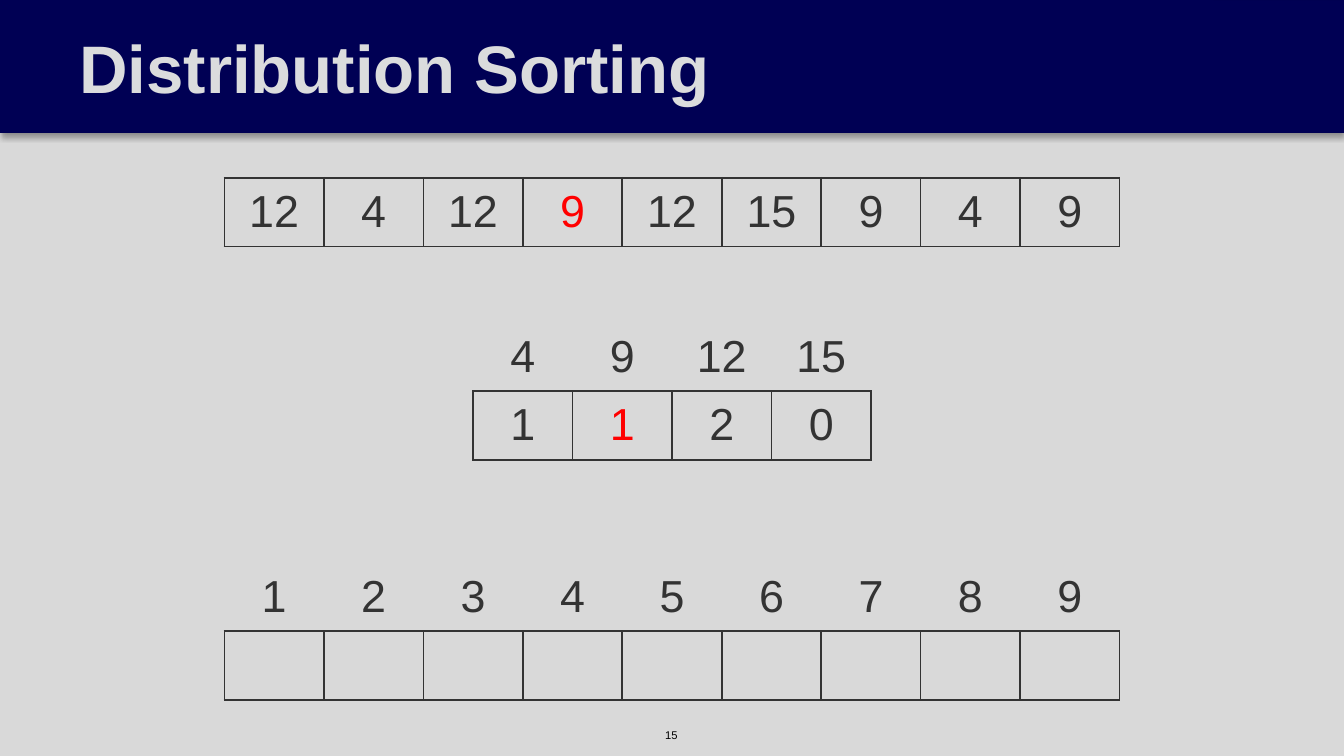
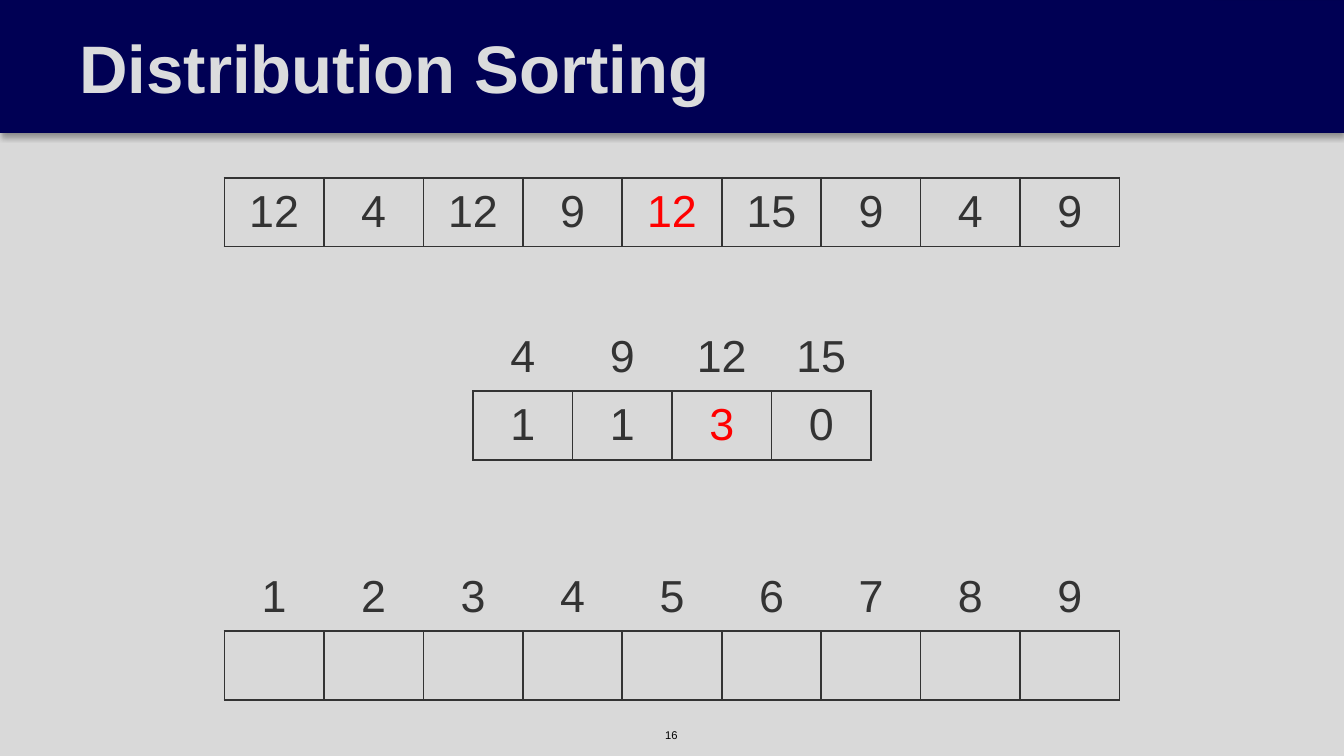
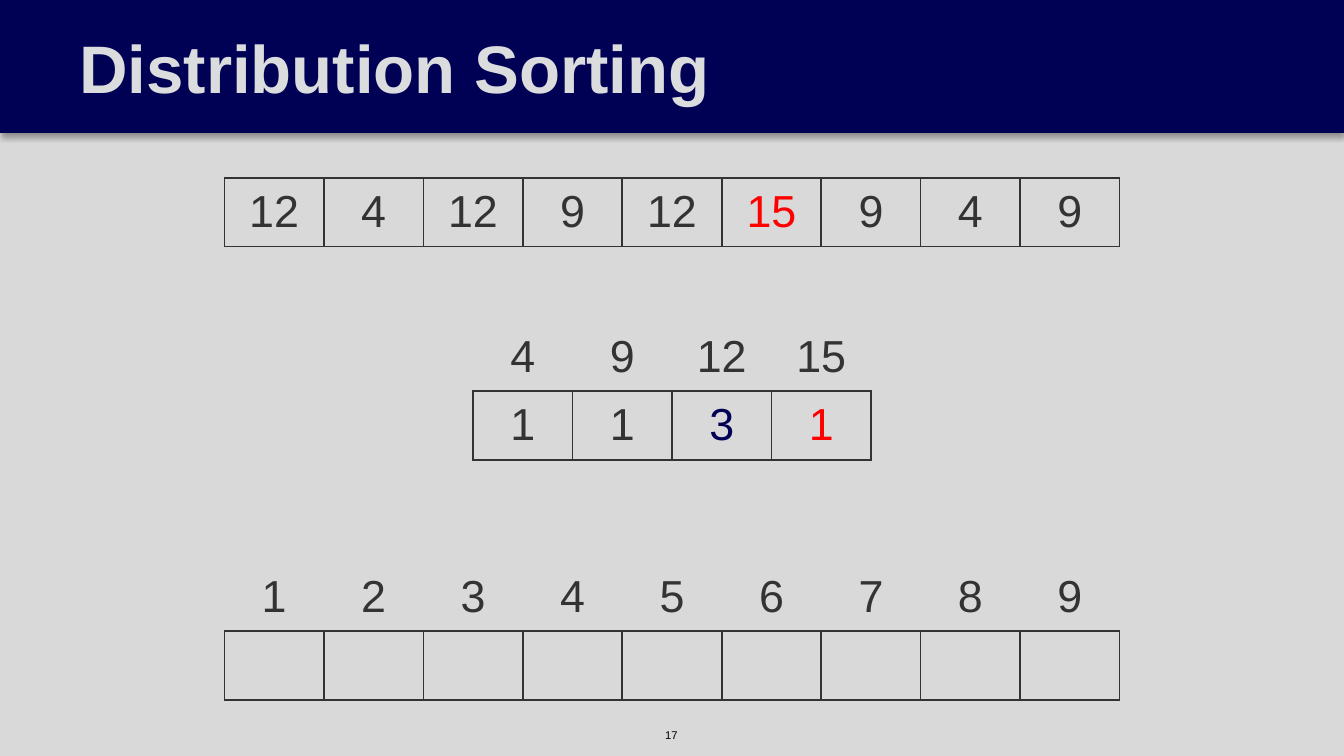
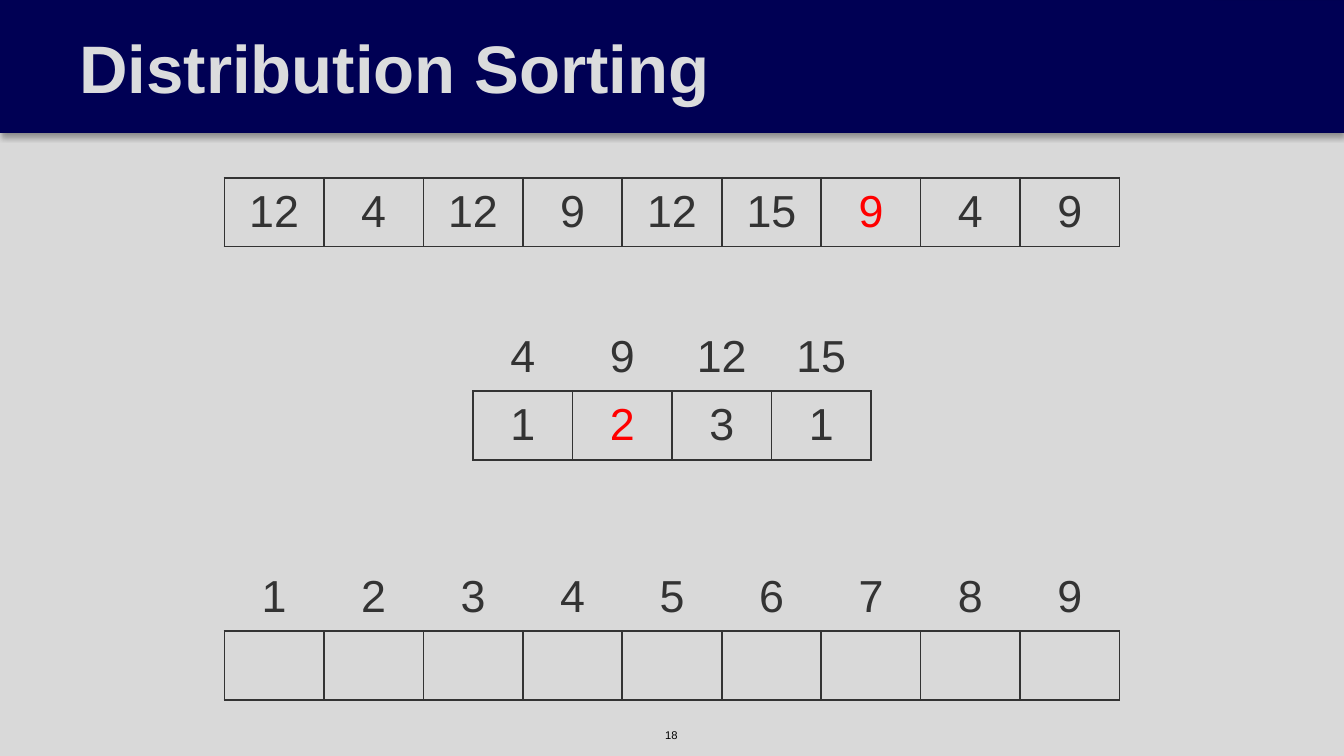
from dataclasses import dataclass
from typing import Any, Optional

from lxml import etree
from pptx import Presentation
from pptx.dml.color import RGBColor
from pptx.enum.shapes import MSO_SHAPE
from pptx.enum.text import MSO_ANCHOR, MSO_AUTO_SIZE, PP_ALIGN
from pptx.oxml.ns import qn
from pptx.util import Cm, Pt

RECTANGLE = MSO_SHAPE.RECTANGLE
MIDDLE = MSO_ANCHOR.MIDDLE
LEFT, CENTER = PP_ALIGN.LEFT, PP_ALIGN.CENTER
FIT_TEXT = MSO_AUTO_SIZE.SHAPE_TO_FIT_TEXT
BLANK_LAYOUT = 6


@dataclass(frozen=True)
class Theme:
    font: str = "Arial"
    background: str = "D9D9D9"
    navy: str = "000054"
    band_line: str = "000052"
    title: str = "DBDCDD"
    ink: str = "333333"
    highlight: str = "FF0000"
    black: str = "000000"
    title_size: int = 36
    cell_size: int = 24
    number_size: int = 6
    border_width: float = 1


THEME = Theme()

# Lengths in centimetres
PAGE_WIDTH, PAGE_HEIGHT = 25.4, 14.29
BAND_HEIGHT, TITLE_WIDTH = 2.51, 22.94
CELL_WIDTH, CELL_HEIGHT = 1.88, 1.3
INPUT_TOP, COUNTER_TOP, OUTPUT_TOP = 3.36, 6.09, 10.63

# Sorting example
VALUES = [12, 4, 12, 9, 12, 15, 9, 4, 9]
KEYS = sorted(set(VALUES))


@dataclass(frozen=True)
class Step:
    """One pass over the input; position is the value being counted."""
    position: int
    navy_key: Optional[int] = None

    @property
    def page_number(self) -> int:
        return self.position + 12


STEPS = [Step(3), Step(4), Step(5, navy_key=12), Step(6)]


@dataclass(frozen=True)
class Cell:
    text: str = ""
    color: str = THEME.ink
    boxed: bool = True


def apply(target: Any, values: dict[str, Any]) -> None:
    for name, value in values.items():
        setattr(target, name, value)


def write(para: Any, text: str, size: float, color: str,
          align: Any = LEFT, bold: bool = False) -> None:
    para.alignment = align
    span = para.add_run()
    span.text = text
    apply(span.font, {"name": THEME.font, "size": Pt(size), "bold": bold})
    span.font.color.rgb = RGBColor.from_string(color)


def add_shadow(box: Any) -> None:
    effects = box._element.spPr.find(qn("a:effectLst"))
    shadow = etree.SubElement(
        effects, qn("a:outerShdw"), blurRad=str(Pt(3.1)), dist=str(Pt(1.8)),
        dir="5400000", rotWithShape="0")
    color = etree.SubElement(shadow, qn("a:srgbClr"), val=THEME.black)
    etree.SubElement(color, qn("a:alpha"), val="35000")


def add_bar(page: Any, width: float) -> Any:
    box = page.shapes.add_shape(RECTANGLE, 0, 0, Cm(width), Cm(BAND_HEIGHT))
    box.shadow.inherit = False
    box.fill.solid()
    box.fill.fore_color.rgb = RGBColor.from_string(THEME.navy)
    return box


def add_band(page: Any) -> None:
    band = add_bar(page, PAGE_WIDTH)
    band.line.color.rgb = RGBColor.from_string(THEME.band_line)
    band.line.width = Pt(0.75)
    add_shadow(band)


def add_title(page: Any, text: str) -> None:
    box = add_bar(page, TITLE_WIDTH)
    box.line.fill.background()
    frame = box.text_frame
    apply(frame, {"word_wrap": True, "vertical_anchor": MIDDLE,
                  "margin_left": Cm(1.02), "margin_right": Cm(1.02),
                  "margin_top": Cm(0.25), "margin_bottom": Cm(0.25)})
    para = frame.paragraphs[0]
    write(para, text, THEME.title_size, THEME.title, bold=True)
    para._p.get_or_add_pPr().set("marL", str(Cm(0.48)))


def add_page_number(page: Any, number: int) -> None:
    box = page.shapes.add_textbox(Cm(12.32), Cm(13.64), Cm(0.76), Cm(0.51))
    apply(box.text_frame, {"word_wrap": False, "auto_size": FIT_TEXT})
    write(box.text_frame.paragraphs[0], str(number), THEME.number_size, THEME.black)


def set_borders(cell: Any, visible: dict[str, bool]) -> None:
    props = cell._tc.get_or_add_tcPr()
    for side, shown in visible.items():
        line = etree.SubElement(props, qn(f"a:ln{side}"), w=str(Pt(THEME.border_width)))
        if shown:
            fill = etree.SubElement(line, qn("a:solidFill"))
            etree.SubElement(fill, qn("a:srgbClr"), val=THEME.ink)
        else:
            etree.SubElement(line, qn("a:noFill"))


def add_array(page: Any, top: float, rows: list[list[Cell]]) -> None:
    """Draw a horizontally centred table of equal cells."""
    width, height = CELL_WIDTH * len(rows[0]), CELL_HEIGHT * len(rows)
    table = page.shapes.add_table(
        len(rows), len(rows[0]), Cm((PAGE_WIDTH - width) / 2), Cm(top),
        Cm(width), Cm(height)).table
    apply(table, {"first_row": False, "horz_banding": False})
    for column in table.columns:
        column.width = Cm(CELL_WIDTH)
    for r, row in enumerate(rows):
        table.rows[r].height = Cm(CELL_HEIGHT)
        for c, item in enumerate(row):
            cell = table.cell(r, c)
            set_borders(cell, {"L": item.boxed, "R": item.boxed,
                               "T": item.boxed, "B": True})
            cell.fill.background()
            cell.vertical_anchor = MIDDLE
            if item.text:
                write(cell.text_frame.paragraphs[0], item.text,
                      THEME.cell_size, item.color, CENTER)


def labels(numbers: Any) -> list[Cell]:
    return [Cell(str(number), boxed=False) for number in numbers]


def counter_cells(step: Step) -> list[Cell]:
    seen = VALUES[:step.position + 1]
    colors = {step.navy_key: THEME.navy, seen[-1]: THEME.highlight}
    return [Cell(str(seen.count(key)), colors.get(key, THEME.ink)) for key in KEYS]


def input_cells(step: Step) -> list[Cell]:
    return [Cell(str(value), THEME.highlight if i == step.position else THEME.ink)
            for i, value in enumerate(VALUES)]


def add_step(deck: Any, step: Step) -> None:
    page = deck.slides.add_slide(deck.slide_layouts[BLANK_LAYOUT])
    page.background.fill.solid()
    page.background.fill.fore_color.rgb = RGBColor.from_string(THEME.background)
    # Shared frame
    add_page_number(page, step.page_number)
    add_band(page)
    # Counters, heading, input and output arrays
    add_array(page, COUNTER_TOP, [labels(KEYS), counter_cells(step)])
    add_title(page, "Distribution Sorting")
    add_array(page, INPUT_TOP, [input_cells(step)])
    add_array(page, OUTPUT_TOP, [labels(range(1, len(VALUES) + 1)),
                                 [Cell()] * len(VALUES)])


def main() -> None:
    deck = Presentation()
    apply(deck, {"slide_width": Cm(PAGE_WIDTH), "slide_height": Cm(PAGE_HEIGHT)})
    for step in STEPS:
        add_step(deck, step)
    deck.save("out.pptx")


if __name__ == "__main__":
    main()
